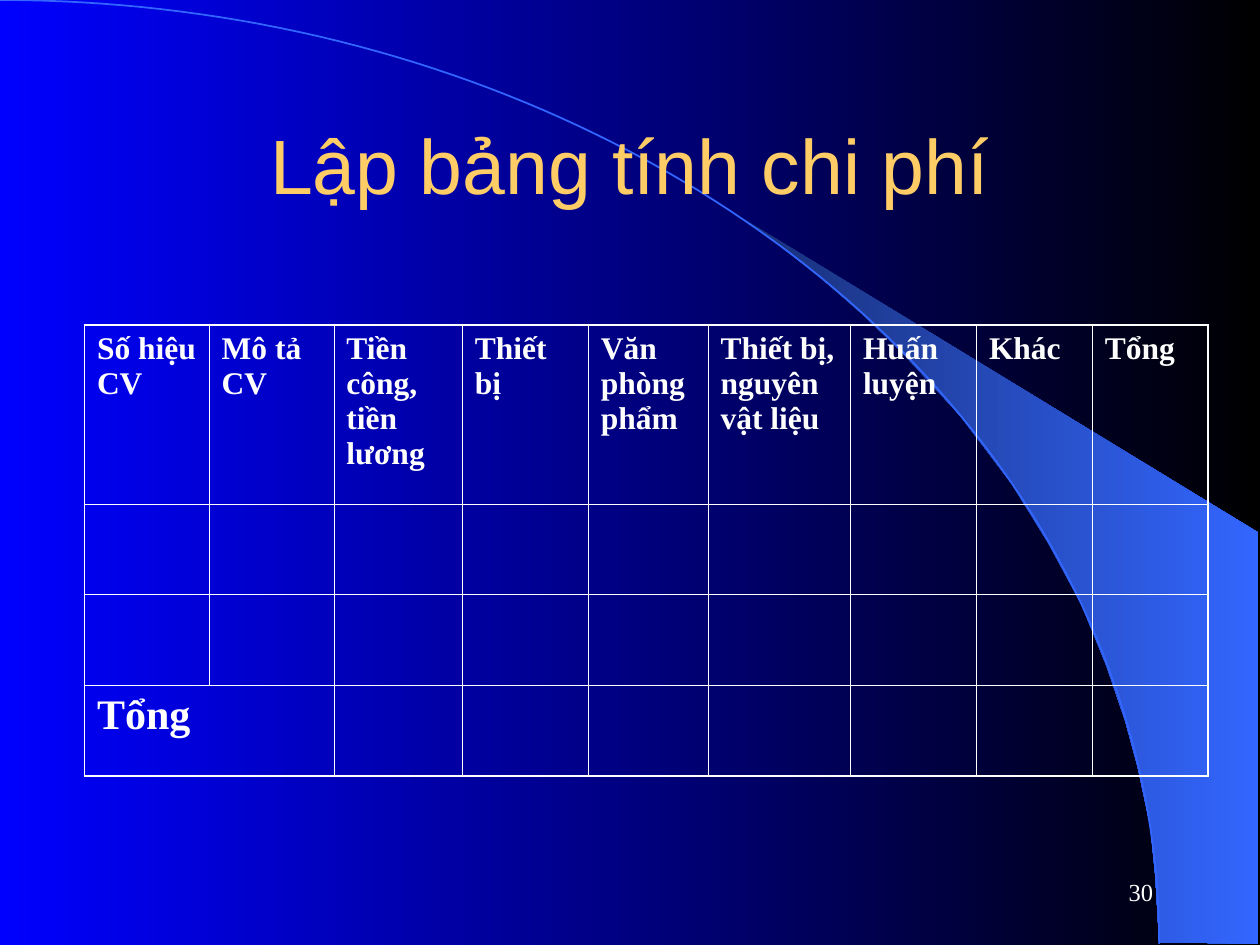
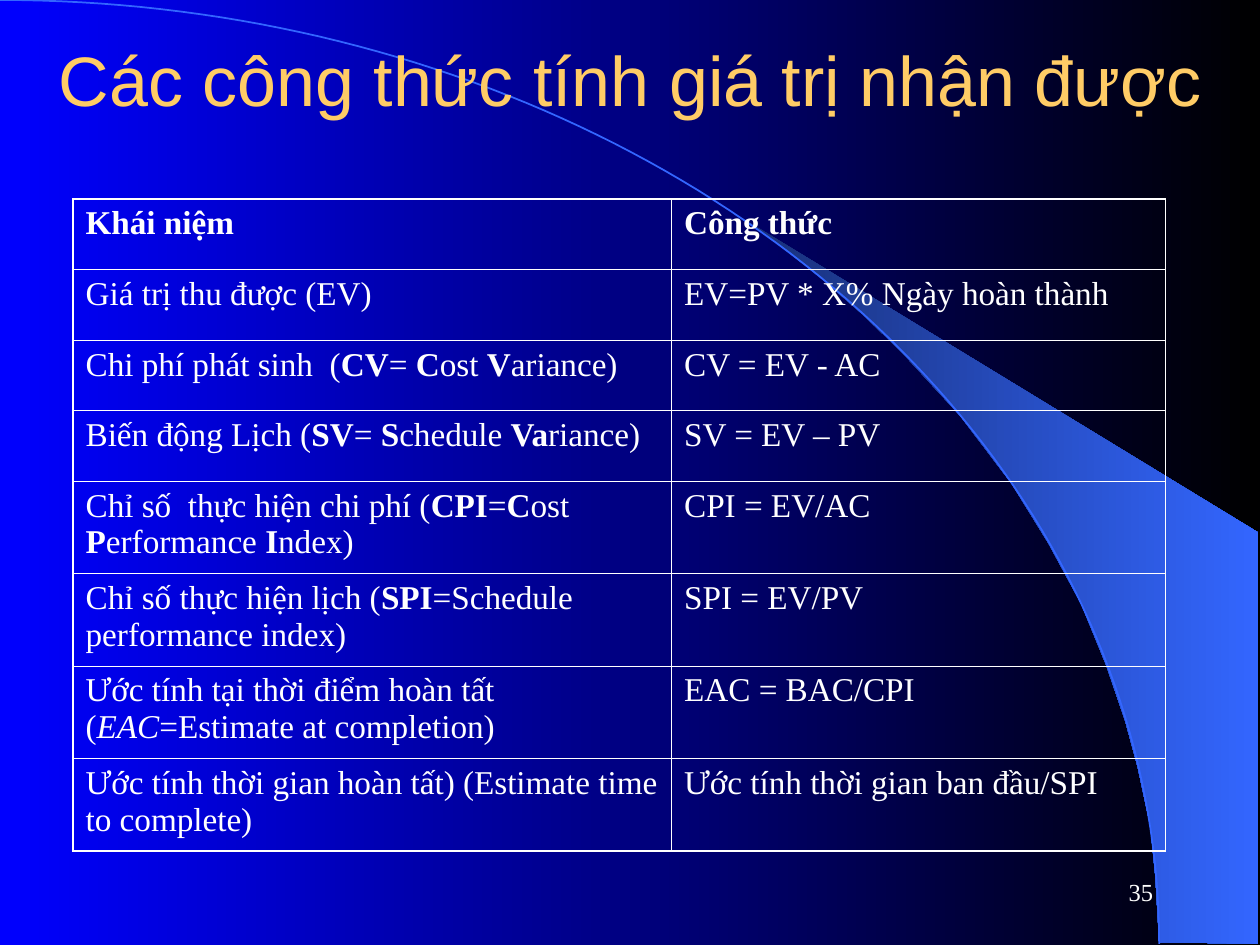
from dataclasses import dataclass
from math import cos, pi, sin

from lxml.etree import SubElement
from pptx import Presentation
from pptx.dml.color import RGBColor
from pptx.enum.text import MSO_ANCHOR as Anchor, PP_ALIGN as Align
from pptx.oxml import parse_xml
from pptx.oxml.ns import nsdecls, qn
from pptx.util import Inches, Pt


@dataclass(frozen=True)
class Theme:
    blue: str = "0000FF"
    black: str = "000000"
    navy: str = "182F76"
    azure: str = "3366FF"
    gold: str = "FFCC66"
    white: str = "FFFFFF"
    title_font: str = "Arial"
    body_font: str = "Times New Roman"
    title_size: float = 44
    long_title_size: float = 40
    total_size: float = 24
    formula_size: float = 19
    header_size: float = 18
    number_size: float = 14
    outer_line: float = 1.08
    inner_line: float = 0.45


THEME = Theme()
SLIDE_W, SLIDE_H = 10, 7.5
NUMBER_BOX = (7.17, 6.83, 2.08, 0.5)
ARC_W, ARC_H = 9.2, 7.49
ARC_STEPS = 90
BEAM = [
    (9.2, 7.48), (9.99, 7.49), (9.99, 4.23), (5.89, 1.73), (6.24, 1.99), (6.53, 2.22),
    (6.85, 2.5), (7.16, 2.8), (7.62, 3.3), (8.03, 3.84), (8.32, 4.31), (8.58, 4.79),
    (8.78, 5.28), (8.93, 5.72), (9.03, 6.09), (9.13, 6.56), (9.17, 6.96),
]

COST_COLUMNS = [0.99, 0.99, 1.02, 1, 0.95, 1.13, 1, 0.92, 0.92]
COST_ROWS = [1.42, 0.72, 0.72, 0.72]
COST_HEADERS = [
    "Số hiệu CV", "Mô tả CV", "Tiền công, tiền lương", "Thiết bị", "Văn phòng phẩm",
    "Thiết bị, nguyên vật liệu", "Huấn luyện", "Khác", "Tổng",
]

FORMULA_COLUMNS = [4.75, 3.92]
FORMULA_ROWS = [0.56] * 4 + [0.73] * 4
FORMULAS = [
    ("|Khái niệm|", "|Công thức|"),
    ("Giá trị thu được (EV)", "EV=PV * X% Ngày hoàn thành"),
    ("Chi phí phát sinh  (|CV|= |C|ost |V|ariance)", "CV = EV - AC"),
    ("Biến động Lịch (|SV|= |S|chedule |Va|riance)", "SV = EV – PV"),
    ("Chỉ số  thực hiện chi phí (|CPI|=|C|ost |P|erformance |I|ndex)", "CPI = EV/AC"),
    ("Chỉ số thực hiện lịch (|SPI|=Schedule performance index)", "SPI = EV/PV"),
    ("Ước tính tại thời điểm hoàn tất (~EAC~=Estimate at completion)", "EAC = BAC/CPI"),
    ("Ước tính thời gian hoàn tất) (Estimate time to complete)",
     "Ước tính thời gian ban đầu/SPI"),
]


def rgb(color):
    return RGBColor.from_string(color)


def write(frame, text, *, size, font=THEME.body_font, color=THEME.white, align=Align.LEFT):
    """Fill a text frame; |...| marks bold and ~...~ marks italic."""
    paragraph = frame.paragraphs[0]
    paragraph.alignment = align
    for bold, part in enumerate(text.split("|")):
        for italic, piece in enumerate(part.split("~")):
            if piece:
                run = paragraph.add_run()
                run.text = piece
                run.font.name, run.font.size = font, Pt(size)
                run.font.color.rgb = rgb(color)
                run.font.bold, run.font.italic = bold % 2 == 1, italic % 2 == 1


def add_label(slide, box, text, **style):
    frame = slide.shapes.add_textbox(*map(Inches, box)).text_frame
    frame.word_wrap = True
    frame.vertical_anchor = Anchor.MIDDLE
    write(frame, text, **style)


def shade(fill, start, end):
    """Apply a left-to-right gradient."""
    fill.gradient()
    fill.gradient_angle = 0
    for stop, color in zip(fill.gradient_stops, (start, end)):
        stop.color.rgb = rgb(color)


def add_outline(slide, points, close):
    points = [(Inches(x), Inches(y)) for x, y in points]
    builder = slide.shapes.build_freeform(*points[0])
    builder.add_line_segments(points[1:], close=close)
    outline = builder.convert_to_shape()
    outline.shadow.inherit = False
    return outline


def add_backdrop(slide):
    shade(slide.background.fill, THEME.blue, THEME.black)
    beam = add_outline(slide, BEAM, close=True)
    shade(beam.fill, THEME.navy, THEME.azure)
    beam.line.fill.background()

    angles = [pi / 2 * step / ARC_STEPS for step in range(ARC_STEPS + 1)]
    horizon = add_outline(
        slide, [(ARC_W * sin(a), ARC_H * (1 - cos(a))) for a in angles], close=False)
    horizon.fill.background()
    horizon.line.color.rgb = rgb(THEME.azure)
    horizon.line.width = Pt(1)


def add_base_slide(deck, title, title_box, title_size, number):
    slide = deck.slides.add_slide(deck.slide_layouts[6])
    add_backdrop(slide)
    add_label(slide, NUMBER_BOX, number, size=THEME.number_size, align=Align.RIGHT)
    add_label(slide, title_box, title, size=title_size, font=THEME.title_font,
              color=THEME.gold, align=Align.CENTER)
    return slide


def set_borders(cell, outer_sides):
    properties = cell._tc.get_or_add_tcPr()
    for index, side in enumerate("LRTB"):
        width = THEME.outer_line if side in outer_sides else THEME.inner_line
        border = parse_xml(f'<a:ln{side} {nsdecls("a")} w="{Pt(width)}"/>')
        SubElement(SubElement(border, qn("a:solidFill")), qn("a:srgbClr"), val=THEME.white)
        properties.insert(index, border)


def add_grid(slide, left, top, columns, rows):
    """Add an unfilled table with a heavier outer frame."""
    box = map(Inches, (left, top, sum(columns), sum(rows)))
    table = slide.shapes.add_table(len(rows), len(columns), *box).table
    table.first_row = table.horz_banding = False
    for column, width in zip(table.columns, columns):
        column.width = Inches(width)
    for row, height in zip(table.rows, rows):
        row.height = Inches(height)
    for r in range(len(rows)):
        for c in range(len(columns)):
            cell = table.cell(r, c)
            cell.fill.background()
            edges = {"L": c == 0, "R": c == len(columns) - 1,
                     "T": r == 0, "B": r == len(rows) - 1}
            set_borders(cell, [side for side, outer in edges.items() if outer])
    return table


def add_cost_slide(deck):
    slide = add_base_slide(deck, "Lập bảng tính chi phí", (0.75, 0.67, 8.5, 1.25),
                           THEME.title_size, "30")
    costs = add_grid(slide, 0.67, 2.58, COST_COLUMNS, COST_ROWS)
    for column, header in enumerate(COST_HEADERS):
        write(costs.cell(0, column).text_frame, f"|{header}|", size=THEME.header_size)
    total = costs.cell(3, 0)
    total.merge(costs.cell(3, 1))
    write(total.text_frame, "|Tổng|", size=THEME.total_size)


def add_formula_slide(deck):
    slide = add_base_slide(deck, "Các công thức tính giá trị nhận được",
                           (0, 0, SLIDE_W, 1.25), THEME.long_title_size, "35")
    formulas = add_grid(slide, 0.58, 1.58, FORMULA_COLUMNS, FORMULA_ROWS)
    for r, entry in enumerate(FORMULAS):
        for c, text in enumerate(entry):
            write(formulas.cell(r, c).text_frame, text, size=THEME.formula_size)


def main():
    deck = Presentation()
    deck.slide_width, deck.slide_height = Inches(SLIDE_W), Inches(SLIDE_H)
    add_cost_slide(deck)
    add_formula_slide(deck)
    deck.save("out.pptx")


if __name__ == "__main__":
    main()
